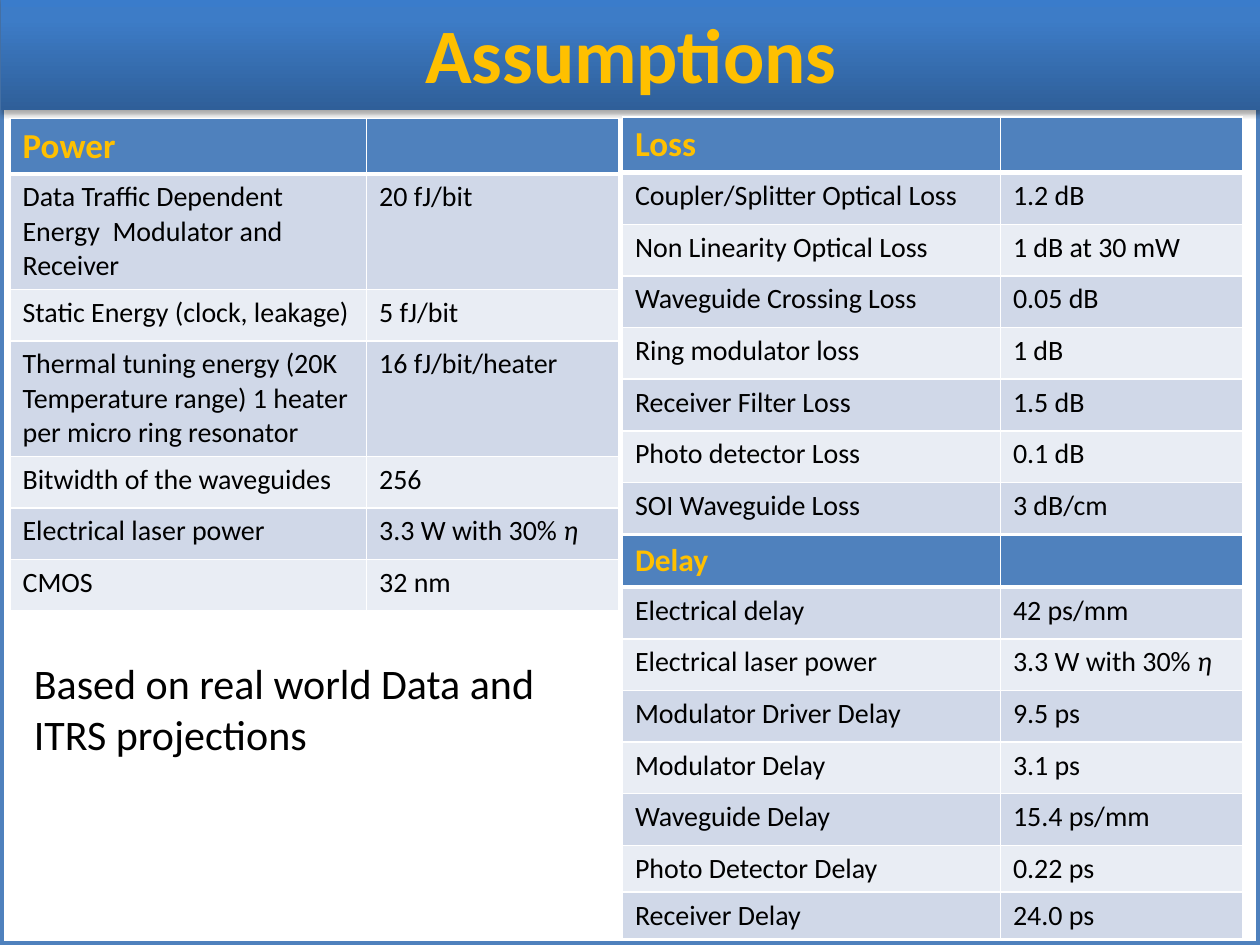
"""Build the Assumptions slide with its power, loss and delay tables."""
from copy import deepcopy

from lxml import etree
from pptx import Presentation
from pptx.dml.color import RGBColor
from pptx.enum.shapes import MSO_SHAPE
from pptx.enum.text import MSO_ANCHOR, PP_ALIGN
from pptx.oxml.ns import qn
from pptx.util import Inches, Pt

RECTANGLE = MSO_SHAPE.RECTANGLE
MIDDLE = MSO_ANCHOR.MIDDLE
LEFT, CENTER = PP_ALIGN.LEFT, PP_ALIGN.CENTER

WHITE = RGBColor(0xFF, 0xFF, 0xFF)
BLACK = RGBColor(0x00, 0x00, 0x00)
BLUE = RGBColor(0x4F, 0x81, 0xBD)
GOLD = RGBColor(0xFF, 0xC0, 0x00)
BANDS = (RGBColor(0xD0, 0xD8, 0xE8), RGBColor(0xE9, 0xED, 0xF4))
TITLE_GRADIENT = (
    (0, RGBColor(0x2F, 0x5F, 0x99)),
    (0.8, RGBColor(0x3D, 0x7C, 0xC7)),
    (1, RGBColor(0x3A, 0x7C, 0xCB)),
)

FONT = "Calibri"
SYMBOL = "η"
ROW_HEIGHT = 0.41

TITLE = "Assumptions"
NOTE = "Based on real world Data and ITRS projections"
LOSS = [
    ("Loss", ""),
    ("Coupler/Splitter Optical Loss", "1.2 dB"),
    ("Non Linearity Optical Loss", "1 dB at 30 mW"),
    ("Waveguide Crossing Loss", "0.05 dB"),
    ("Ring modulator loss", "1 dB"),
    ("Receiver Filter Loss", "1.5 dB"),
    ("Photo detector Loss", "0.1 dB"),
    ("SOI Waveguide Loss", "3 dB/cm"),
]
DELAY = [
    ("Delay", ""),
    ("Electrical delay", "42 ps/mm"),
    ("Electrical laser power", "3.3 W with 30% η"),
    ("Modulator Driver Delay", "9.5 ps"),
    ("Modulator Delay", "3.1 ps"),
    ("Waveguide Delay", "15.4 ps/mm"),
    ("Photo Detector Delay", "0.22 ps"),
    ("Receiver Delay", "24.0 ps"),
]
POWER = [
    ("Power", ""),
    ("Data Traffic Dependent Energy  Modulator and Receiver", "20 fJ/bit"),
    ("Static Energy (clock, leakage)", "5 fJ/bit"),
    ("Thermal tuning energy (20K Temperature range) 1 heater per micro ring resonator",
     "16 fJ/bit/heater"),
    ("Bitwidth of the waveguides", "256"),
    ("Electrical laser power", "3.3 W with 30% η"),
    ("CMOS", "32 nm"),
]
TABLES = [
    {"rows": LOSS, "left": 4.94, "top": 0.93, "widths": (3, 1.92), "header_size": 20},
    {"rows": DELAY, "left": 4.94, "top": 4.25, "widths": (3, 1.92), "header_size": 18,
     "short_rows": 2},
    {"rows": POWER, "left": 0.08, "top": 0.94, "widths": (2.83, 2), "header_size": 20},
]


def write_text(text_frame, text, size=16, color=BLACK, bold=False, align=LEFT):
    """Write one paragraph, with the efficiency symbol in italics."""
    paragraph = text_frame.paragraphs[0]
    paragraph.alignment = align
    for piece in filter(None, text.partition(SYMBOL)):
        run = paragraph.add_run()
        run.text = piece
        font = run.font
        font.name, font.size, font.bold = FONT, Pt(size), bold
        font.italic = piece == SYMBOL
        font.color.rgb = color


def add_rectangle(slide, left, top, width, height):
    """Add a rectangle without a shadow."""
    shape = slide.shapes.add_shape(
        RECTANGLE, Inches(left), Inches(top), Inches(width), Inches(height))
    shape.shadow.inherit = False
    return shape


def add_frame(slide):
    """Add the white page with its blue outline."""
    frame = add_rectangle(slide, 0, 0, 10, 7.5)
    frame.fill.solid()
    frame.fill.fore_color.rgb = WHITE
    frame.line.color.rgb = BLUE
    frame.line.width = Pt(5)


def add_title_bar(slide):
    """Add the gradient title bar with a soft shadow below it."""
    bar = add_rectangle(slide, 0.01, -0.03, 10, 0.9)
    bar.line.fill.background()
    bar.fill.gradient()
    bar.fill.gradient_angle = 90
    properties = bar._element.spPr
    stops = properties.find(".//" + qn("a:gsLst"))
    stops.append(deepcopy(stops[0]))
    for stop, (position, color) in zip(bar.fill.gradient_stops, TITLE_GRADIENT):
        stop.position = position
        stop.color.rgb = color
    shadow = etree.SubElement(
        properties.find(qn("a:effectLst")), qn("a:outerShdw"),
        blurRad=str(Pt(3.1)), dist=str(Pt(1.8)), dir="5400000", rotWithShape="0")
    shadow_color = etree.SubElement(shadow, qn("a:srgbClr"), val=str(BLACK))
    etree.SubElement(shadow_color, qn("a:alpha"), val="35000")
    bar.text_frame.vertical_anchor = MIDDLE
    write_text(bar.text_frame, TITLE, size=44, color=GOLD, bold=True, align=CENTER)


def set_borders(cell, top=1, bottom=1):
    """Draw white borders around a cell."""
    properties = cell._tc.get_or_add_tcPr()
    for side, width in (("L", 1), ("R", 1), ("T", top), ("B", bottom)):
        line = etree.SubElement(properties, qn(f"a:ln{side}"), w=str(Pt(width)))
        fill = etree.SubElement(line, qn("a:solidFill"))
        etree.SubElement(fill, qn("a:srgbClr"), val=str(WHITE))


def add_data_table(slide, rows, left, top, widths, header_size, short_rows=0):
    """Add a banded table whose first row is the header."""
    tall_rows = len(rows) - short_rows
    heights = [ROW_HEIGHT] * tall_rows + [0.32] * short_rows
    table = slide.shapes.add_table(
        len(rows), len(widths), Inches(left), Inches(top),
        Inches(sum(widths)), Inches(sum(heights))).table
    for column, width in zip(table.columns, widths):
        column.width = Inches(width)
    for index, (texts, height) in enumerate(zip(rows, heights)):
        table.rows[index].height = Inches(height)
        is_header = index == 0
        for cell, text in zip(table.rows[index].cells, texts):
            set_borders(cell, top=3 if index == 1 else 1, bottom=3 if is_header else 1)
            cell.fill.solid()
            cell.fill.fore_color.rgb = BLUE if is_header else BANDS[(index - 1) % 2]
            if is_header:
                write_text(cell.text_frame, text, size=header_size, color=GOLD, bold=True)
            else:
                write_text(cell.text_frame, text)


def main():
    """Assemble and save the slide."""
    presentation = Presentation()
    presentation.slide_width, presentation.slide_height = Inches(10), Inches(7.5)
    slide = presentation.slides.add_slide(presentation.slide_layouts[6])
    add_frame(slide)
    add_title_bar(slide)
    for table in TABLES:
        add_data_table(slide, **table)
    note = slide.shapes.add_textbox(Inches(0.17), Inches(5.17), Inches(4.58), Inches(0.91))
    note.text_frame.word_wrap = True
    write_text(note.text_frame, NOTE, size=24)
    presentation.save("out.pptx")


if __name__ == "__main__":
    main()
